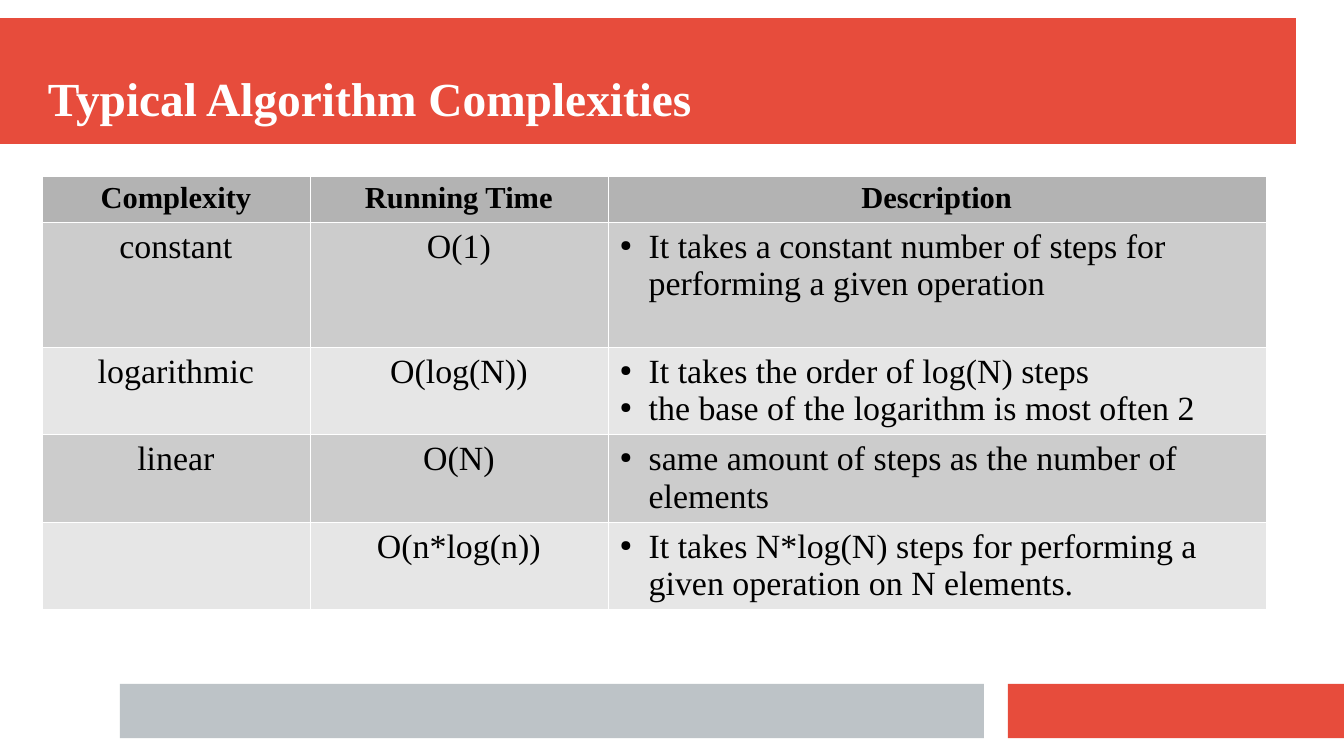
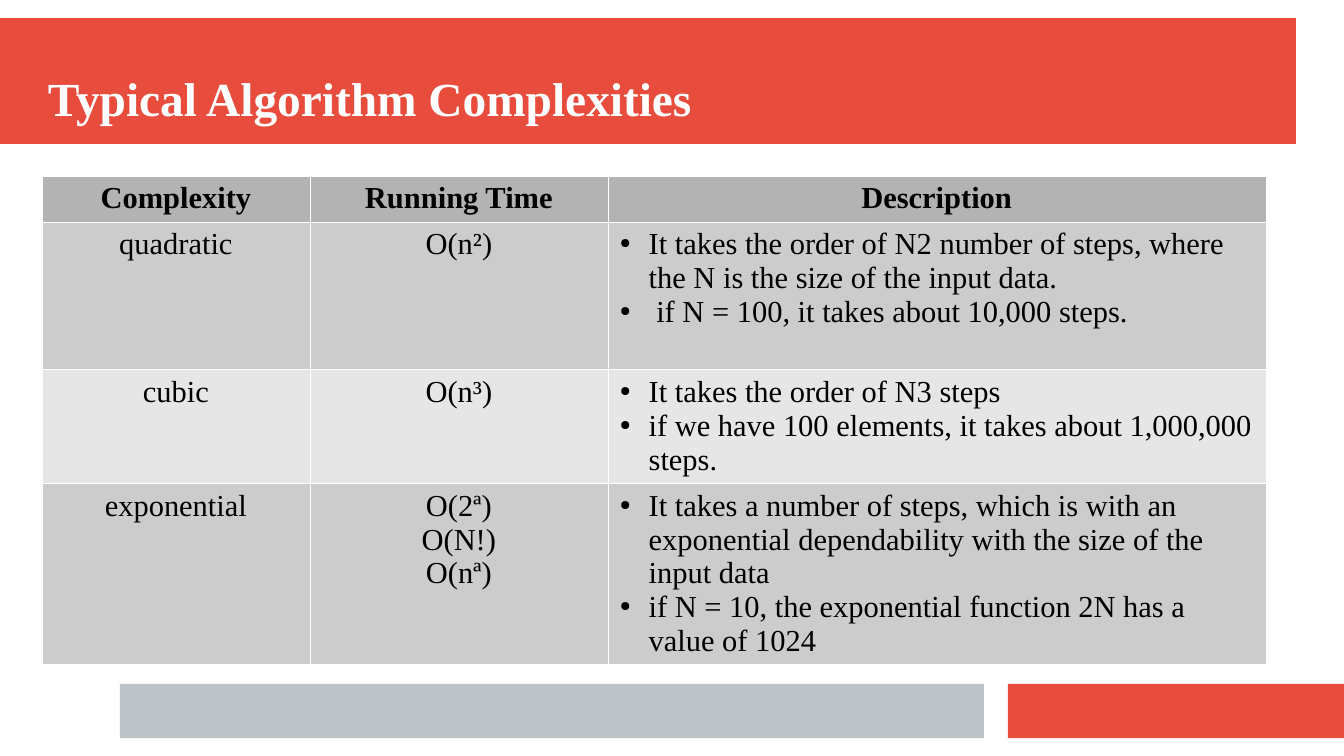
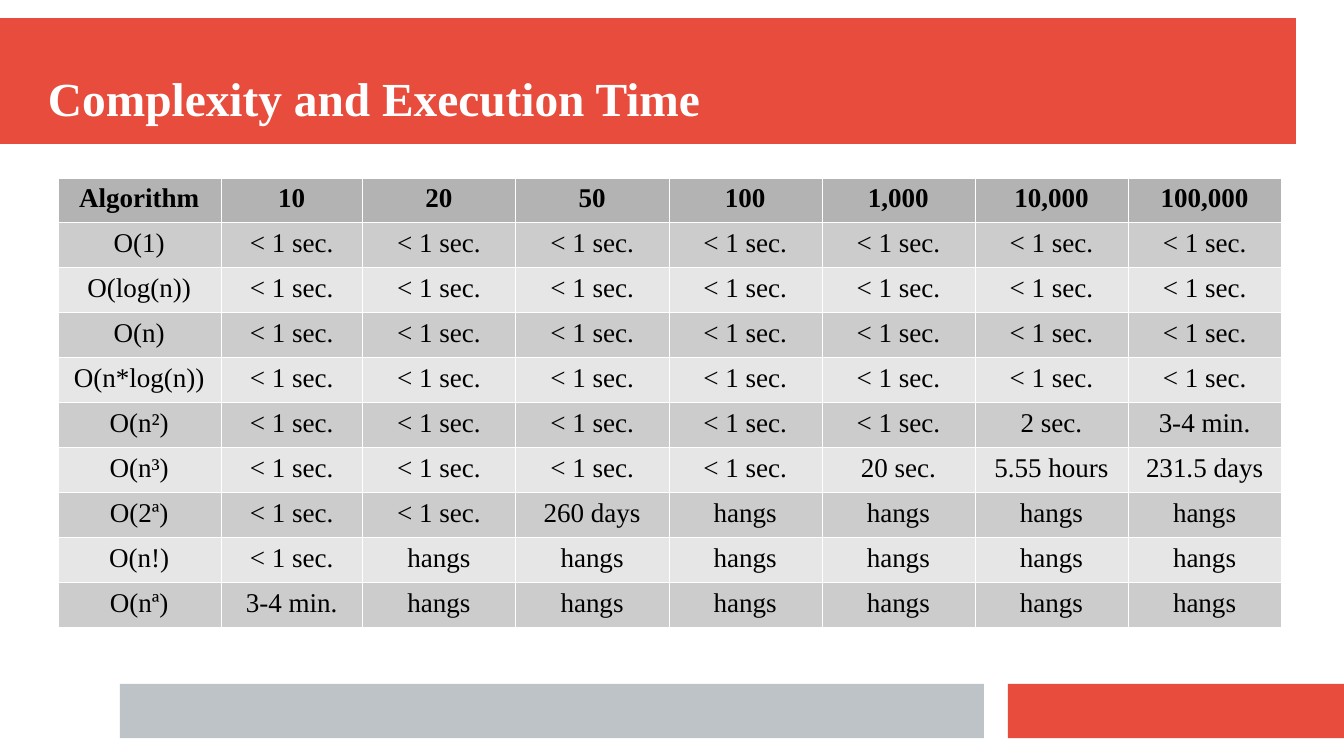
from pptx import Presentation
from pptx.dml.color import RGBColor
from pptx.enum.shapes import MSO_SHAPE as Shape
from pptx.enum.text import MSO_ANCHOR as Anchor, MSO_AUTO_SIZE as AutoSize, PP_ALIGN as Align
from pptx.oxml import parse_xml
from pptx.oxml.ns import nsdecls
from pptx.util import Cm, Pt

RED = RGBColor(0xE7, 0x4C, 0x3C)
SILVER = RGBColor(0xBD, 0xC3, 0xC7)
WHITE = RGBColor(0xFF, 0xFF, 0xFF)
BLACK = RGBColor(0x00, 0x00, 0x00)
HEADER_GRAY = RGBColor(0xB3, 0xB3, 0xB3)
ROW_GRAYS = (RGBColor(0xCC, 0xCC, 0xCC), RGBColor(0xE6, 0xE6, 0xE6))

FONT = "Times New Roman"
TITLE_ONLY = 5
BANDS = (
    ((0, 0.38, 27, 2.62), RED),
    ((21, 14.25, 7, 1.13), RED),
    ((2.5, 14.25, 18, 1.13), SILVER),
)
TITLE_BOX = (1, 0.75, 26, 1.88)
TITLE_FRAME = dict(margin_left=0, margin_top=0, margin_right=0, margin_bottom=0,
                   vertical_anchor=Anchor.BOTTOM, auto_size=AutoSize.NONE, word_wrap=True)
BULLET_INDENT = Cm(0.6)

COMPLEXITY_HEADER = ("Complexity", "Running Time", "Description")
COMPLEXITY_COLUMNS = (5.59, 6.2, 13.71)
COMMON_COMPLEXITIES = (
    ("constant", "O(1)",
     "It takes a constant number of steps for performing a given operation"),
    ("logarithmic", "O(log(N))",
     "It takes the order of log(N) steps\nthe base of the logarithm is most often 2"),
    ("linear", "O(N)", "same amount of steps as the number of elements"),
    ("", "O(n*log(n))",
     "It takes N*log(N) steps for performing a given operation on N elements."),
)
STEEP_COMPLEXITIES = (
    ("quadratic", "O(n²)",
     "It takes the order of N2 number of steps, where the N is the size of the input data.\n"
     " if N = 100, it takes about 10,000 steps."),
    ("cubic", "O(n³)",
     "It takes the order of N3 steps\n"
     "if we have 100 elements, it takes about 1,000,000 steps."),
    ("exponential", "O(2ª)\nO(N!)\nO(nª)",
     "It takes a number of steps, which is with an exponential dependability "
     "with the size of the input data\n"
     "if N = 10, the exponential function 2N has a value of 1024"),
)

INSTANT, HANGS = ("< 1 sec.",), ("hangs",)
TIME_HEADER = ("Algorithm", "10", "20", "50", "100", "1,000", "10,000", "100,000")
TIME_COLUMNS = (3.4, 2.95) + (3.19,) * 6
EXECUTION_TIMES = (
    *((algorithm,) + INSTANT * 7 for algorithm in ("O(1)", "O(log(n))", "O(n)", "O(n*log(n))")),
    ("O(n²)",) + INSTANT * 5 + ("2 sec.", "3-4 min."),
    ("O(n³)",) + INSTANT * 4 + ("20 sec.", "5.55 hours", "231.5 days"),
    ("O(2ª)",) + INSTANT * 2 + ("260 days",) + HANGS * 4,
    ("O(n!)",) + INSTANT + HANGS * 6,
    ("O(nª)", "3-4 min.") + HANGS * 6,
)


def apply(target, values):
    """Set each named attribute of the target."""
    for attribute, value in values.items():
        setattr(target, attribute, value)


def style_font(font, size, color, bold=False):
    """Give a font the deck's typeface with a size, colour and weight."""
    apply(font, dict(name=FONT, size=Pt(size), bold=bold))
    font.color.rgb = color


def add_bands(slide):
    """Draw the bands and hand them to the slide's layout, which shows them on every slide."""
    for index, (box, color) in enumerate(BANDS):
        band = slide.shapes.add_shape(Shape.RECTANGLE, *map(Cm, box))
        band.shadow.inherit = False
        band.fill.solid()
        band.fill.fore_color.rgb = color
        band.line.fill.background()
        slide.slide_layout.shapes._spTree.insert(2 + index, band._element)


def add_title(slide, text, box):
    """Fill and format the title placeholder inside its box."""
    title = slide.shapes.title
    apply(title, dict(zip(("left", "top", "width", "height"), map(Cm, box))))
    frame = title.text_frame
    apply(frame, TITLE_FRAME)
    frame.text = text
    paragraph = frame.paragraphs[0]
    paragraph.alignment = Align.LEFT
    style_font(paragraph.runs[0].font, 28, WHITE, bold=True)


def add_bullet(paragraph):
    """Put a small round bullet with a hanging indent on a paragraph."""
    properties = paragraph._p.get_or_add_pPr()
    properties.set("marL", str(BULLET_INDENT))
    properties.set("indent", str(-BULLET_INDENT))
    for bullet in (f'<a:buClr {nsdecls("a")}><a:srgbClr val="{BLACK}"/></a:buClr>',
                   f'<a:buSzPct {nsdecls("a")} val="45000"/>',
                   f'<a:buChar {nsdecls("a")} char="●"/>'):
        properties.append(parse_xml(bullet))


def format_cell(cell, text, fill, size, bold, bulleted):
    """Write one table cell with hairline borders, a fill and styled text."""
    for side in ("lnL", "lnR", "lnT", "lnB"):
        cell._tc.get_or_add_tcPr().append(parse_xml(
            f'<a:{side} {nsdecls("a")} w="{Pt(0.06)}"><a:solidFill>'
            f'<a:srgbClr val="{WHITE}"/></a:solidFill></a:{side}>'))
    cell.fill.solid()
    cell.fill.fore_color.rgb = fill
    cell.text = text
    for paragraph in cell.text_frame.paragraphs:
        paragraph.alignment = Align.LEFT if bulleted else Align.CENTER
        if bulleted:
            add_bullet(paragraph)
        for run in paragraph.runs:
            style_font(run.font, size, BLACK, bold)


def add_grid(slide, corner, columns, heights, rows, sizes, bullet_column=None):
    """Place a table at a corner, its first row a header and the rest in alternating grays."""
    frame = slide.shapes.add_table(len(rows), len(columns), *map(Cm, corner),
                                   Cm(sum(columns)), Cm(sum(heights)))
    table = frame.table
    table.horz_banding = False
    for column, width in zip(table.columns, columns):
        column.width = Cm(width)
    for row, height in zip(table.rows, heights):
        row.height = Cm(height)
    header_size, body_size = sizes
    for row_index, texts in enumerate(rows):
        is_header = row_index == 0
        fill = HEADER_GRAY if is_header else ROW_GRAYS[(row_index - 1) % 2]
        for column_index, text in enumerate(texts):
            format_cell(table.cell(row_index, column_index), text, fill,
                        header_size if is_header else body_size, is_header,
                        column_index == bullet_column and not is_header)


def add_complexity_slide(deck, complexities, heights, body_size):
    """Add a slide that describes a group of complexities."""
    slide = deck.slides.add_slide(deck.slide_layouts[TITLE_ONLY])
    add_title(slide, "Typical Algorithm Complexities", TITLE_BOX)
    add_grid(slide, (0.87, 3.66), COMPLEXITY_COLUMNS, heights,
             (COMPLEXITY_HEADER, *complexities), (18, body_size), bullet_column=2)
    return slide


def add_time_slide(deck):
    """Add the slide that compares execution times by input size."""
    slide = deck.slides.add_slide(deck.slide_layouts[TITLE_ONLY])
    add_title(slide, "Complexity and Execution Time", TITLE_BOX)
    rows = (TIME_HEADER, *EXECUTION_TIMES)
    add_grid(slide, (1.2, 3.7), TIME_COLUMNS, (9.36 / len(rows),) * len(rows), rows, (16, 16))


def main():
    """Build and save the deck."""
    deck = Presentation()
    apply(deck, dict(slide_width=Cm(28), slide_height=Cm(15.75)))
    first_slide = add_complexity_slide(deck, COMMON_COMPLEXITIES, (0.95, 2.61, 1.82, 1.82, 1.82), 20)
    add_bands(first_slide)
    add_complexity_slide(deck, STEEP_COMPLEXITIES, (0.95, 3.08, 2.36, 3.76), 18)
    add_time_slide(deck)
    deck.save("out.pptx")


main()
